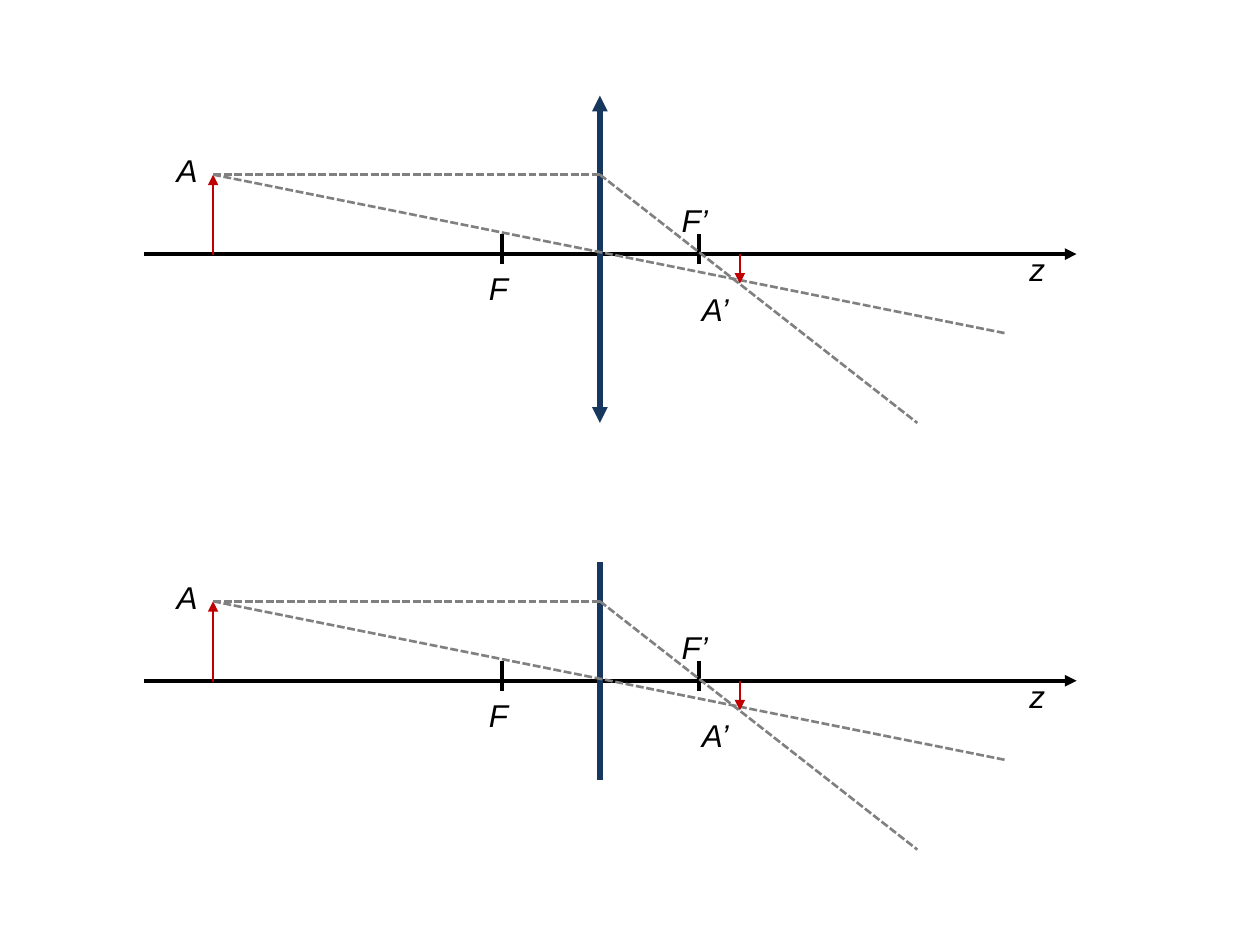
from lxml import etree
from pptx import Presentation
from pptx.dml.color import RGBColor
from pptx.enum.dml import MSO_LINE
from pptx.enum.shapes import MSO_CONNECTOR
from pptx.enum.text import MSO_AUTO_SIZE
from pptx.oxml.ns import qn
from pptx.util import Pt

STRAIGHT = MSO_CONNECTOR.STRAIGHT
DASH = MSO_LINE.SQUARE_DOT
FIT_TEXT = MSO_AUTO_SIZE.SHAPE_TO_FIT_TEXT

BLACK = RGBColor(0x00, 0x00, 0x00)
NAVY = RGBColor(0x17, 0x37, 0x5E)
RED = RGBColor(0xC0, 0x00, 0x00)
GRAY = RGBColor(0x80, 0x80, 0x80)

AXIS_LENGTH = 533
LENS_X = 260.6
OBJECT_X = 39.6
OBJECT_HEIGHT = 45.4
FOCUS_XS = (204.5, 317.5)
IMAGE_X = 340.6
IMAGE_HEIGHT = 16.9
LABELS = [
    ("z", 499, -5.8, 23.8),
    ("A", 11.6, -62.3, 27.4),
    ("A’", 311.8, 16.8, 30.2),
    ("F", 190, 5, 26),
    ("F’", 300.2, -33.8, 29.5),
]


def add_label(shapes, text, left, top, width, height=29, font="Arial",
              size=18, color=BLACK, italic=True):
    label = shapes.add_textbox(Pt(left), Pt(top), Pt(width), Pt(height))
    frame = label.text_frame
    frame.word_wrap = False
    frame.auto_size = FIT_TEXT
    run = frame.paragraphs[0].add_run()
    run.text = text
    run.font.name = font
    run.font.size = Pt(size)
    run.font.italic = italic
    run.font.color.rgb = color


def add_line(shapes, start, end, color, width, dash=None, arrows=()):
    connector = shapes.add_connector(STRAIGHT, *map(Pt, start + end))
    line = connector.line
    line.color.rgb = color
    line.width = Pt(width)
    if dash:
        line.dash_style = dash
    outline = line._get_or_add_ln()
    for arrow in arrows:
        etree.SubElement(outline, qn(f"a:{arrow}"), type="triangle")
    etree.SubElement(connector._element.spPr, qn("a:effectLst"))


def draw_lens_diagram(shapes, left, axis_y, lens_top, lens_bottom, lens_arrows=()):
    def segment(x1, y1, x2, y2, color, width, **style):
        add_line(shapes, (left + x1, axis_y + y1), (left + x2, axis_y + y2),
                 color, width, **style)

    segment(0, 0, AXIS_LENGTH, 0, BLACK, 2.25, arrows=["tailEnd"])
    segment(LENS_X, lens_bottom, LENS_X, lens_top, NAVY, 3, arrows=lens_arrows)
    segment(OBJECT_X, 0.5, OBJECT_X, -OBJECT_HEIGHT, RED, 1.5, arrows=["tailEnd"])
    for focus_x in FOCUS_XS:
        segment(focus_x, 5.8, focus_x, -11.3, BLACK, 2.25)

    rays = [
        (OBJECT_X, -OBJECT_HEIGHT, LENS_X, -OBJECT_HEIGHT),
        (LENS_X, -OBJECT_HEIGHT, 442, 96.5),
        (OBJECT_X, -OBJECT_HEIGHT, 493, 45.4),
    ]
    for ray in rays:
        segment(*ray, GRAY, 1.5, dash=DASH)
    segment(IMAGE_X, 0, IMAGE_X, IMAGE_HEIGHT, RED, 1.5, arrows=["tailEnd"])

    for text, x, y, width in LABELS:
        add_label(shapes, text, left + x, axis_y + y, width)


def main():
    presentation = Presentation()
    presentation.slide_width = Pt(720)
    presentation.slide_height = Pt(540)
    slide = presentation.slides.add_slide(presentation.slide_layouts[6])
    thin_lens = slide.shapes.add_group_shape()
    draw_lens_diagram(thin_lens.shapes, 82.2, 145.2, -90.6, 96.5,
                      lens_arrows=["headEnd", "tailEnd"])
    draw_lens_diagram(slide.shapes, 82.2, 389, -67.8, 56.8)
    presentation.save("out.pptx")


if __name__ == "__main__":
    main()
